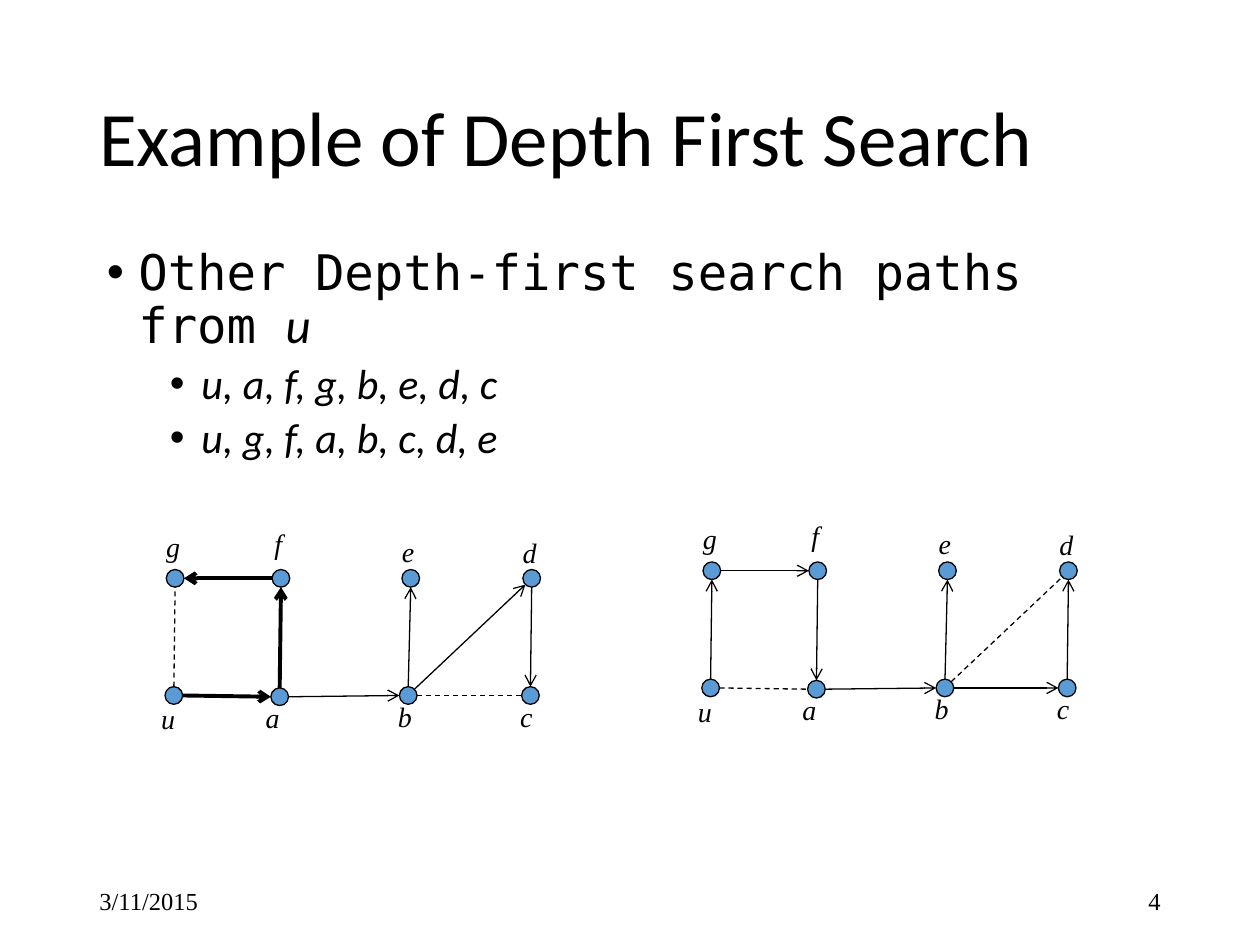
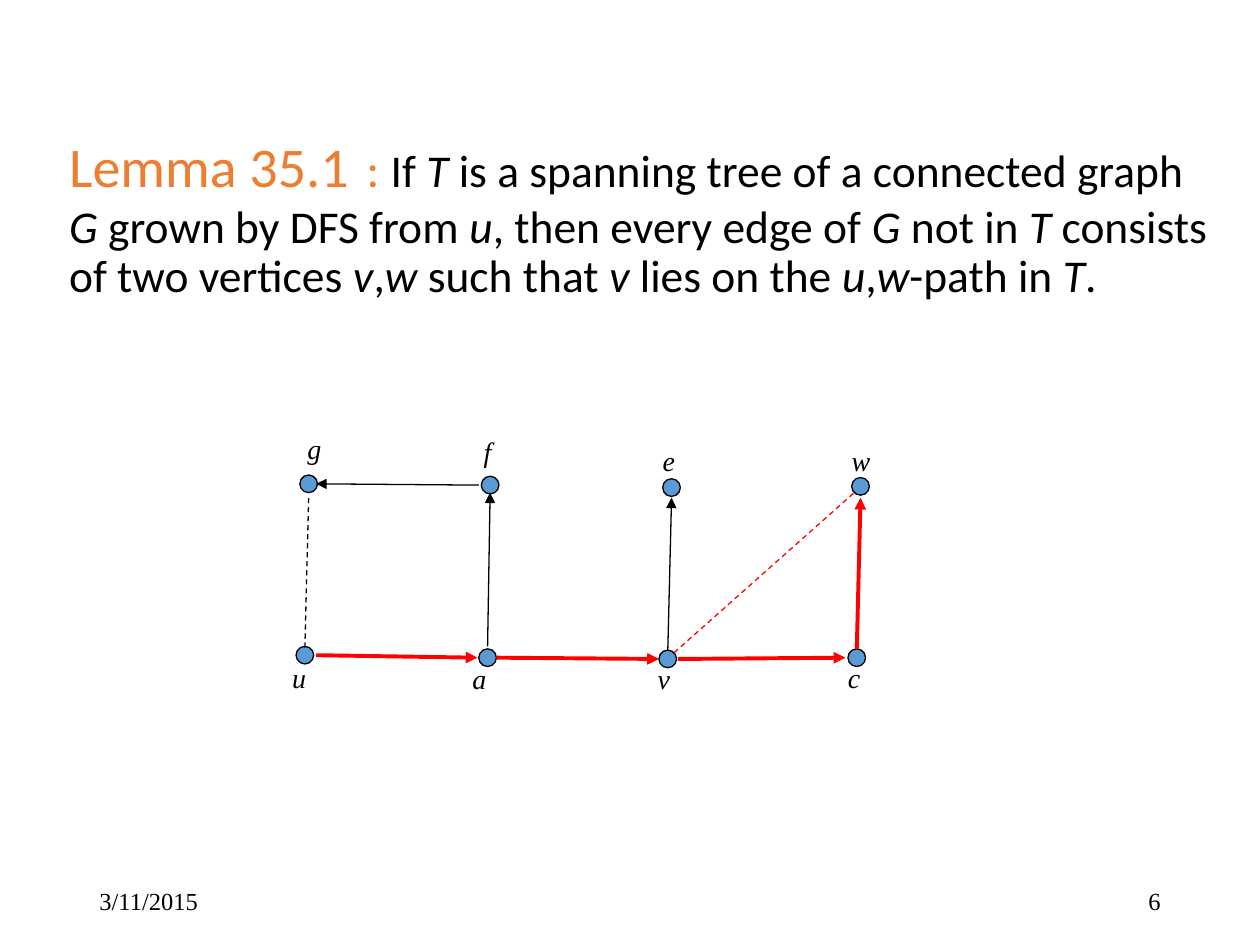
from dataclasses import dataclass
from math import hypot

from lxml.etree import SubElement
from pptx import Presentation
from pptx.dml.color import RGBColor
from pptx.enum.dml import MSO_LINE
from pptx.enum.shapes import MSO_CONNECTOR, MSO_SHAPE
from pptx.enum.text import MSO_ANCHOR, PP_ALIGN
from pptx.oxml.ns import qn
from pptx.util import Pt

PX = 9144  # 100 px to the inch


@dataclass(frozen=True)
class Theme:
    black: str = "000000"
    orange: str = "ED7D31"
    red: str = "FF0000"
    node: str = "5B9BD5"
    sans: str = "Calibri"
    mono: str = "DejaVu Sans Mono"
    serif: str = "Times New Roman"
    title: int = 44
    lemma_head: int = 32
    body: int = 28
    lemma: int = 26
    sub: int = 24
    label: int = 16
    footer: int = 14
    thin: float = 0.75
    bold: float = 2.25
    node_size: int = 14
    leading: float = 0.9


T = Theme()

# Vertex: (node left, node top, label left, label top)
SEARCH_NODES = {
    "u": (131, 545, 118, 552), "a": (215, 546, 201, 551),
    "b": (317, 545, 306, 550), "c": (414, 545, 403, 550),
    "g": (132, 452, 122, 415), "f": (216, 452, 208, 413),
    "e": (319, 452, 309, 419), "d": (415, 452, 405, 420),
}
LEMMA_NODES = {
    "u": (235, 513, 222, 519), "a": (380, 515, 365, 520),
    "v": (523, 516, 512, 520), "c": (673, 515, 663, 519),
    "g": (238, 377, 234, 338), "f": (382, 378, 374, 340),
    "e": (526, 380, 516, 347), "w": (676, 379, 666, 347),
}


# Text
def add_box(s, x, y, w, h, anchor=MSO_ANCHOR.TOP):
    tf = s.shapes.add_textbox(x * PX, y * PX, w * PX, h * PX).text_frame
    tf.word_wrap = True
    tf.vertical_anchor = anchor
    return tf


def add_run(p, text, size, font=T.sans, color=T.black, italic=False):
    r = p.add_run()
    r.text = text
    r.font.size = Pt(size)
    r.font.name = font
    r.font.italic = italic
    r.font.color.rgb = RGBColor.from_string(color)


def add_marked_runs(p, text, size):
    """Text between asterisks becomes italic."""
    for i, part in enumerate(text.split("*")):
        add_run(p, part, size, italic=i % 2 == 1)


def add_bullet(p, left, hang=25):
    pPr = p._p.get_or_add_pPr()
    pPr.set("marL", str(left * PX))
    pPr.set("indent", str(-hang * PX))
    SubElement(pPr, qn("a:buFont")).set("typeface", "Arial")
    SubElement(pPr, qn("a:buChar")).set("char", "•")


def add_title(s, x, y, w, h):
    p = add_box(s, x, y, w, h, MSO_ANCHOR.MIDDLE).paragraphs[0]
    p.line_spacing = T.leading
    return p


def add_footer(s, number):
    for x, text, align in ((69, "3/11/2015", PP_ALIGN.LEFT),
                           (706, number, PP_ALIGN.RIGHT)):
        p = add_box(s, x, 695, 225, 40, MSO_ANCHOR.MIDDLE).paragraphs[0]
        p.alignment = align
        add_run(p, text, T.footer, T.serif)


# Graph
def add_node(s, x, y):
    sp = s.shapes.add_shape(MSO_SHAPE.OVAL, x * PX, y * PX,
                            T.node_size * PX, T.node_size * PX)
    sp.shadow.inherit = False
    sp.fill.solid()
    sp.fill.fore_color.rgb = RGBColor.from_string(T.node)
    sp.line.color.rgb = RGBColor.from_string(T.black)
    sp.line.width = Pt(T.thin)


def add_edge(s, start, end, gaps=(7, 7), width=T.thin, color=T.black, arrow=None):
    """Join two node centres, stopping short by the gaps; no arrow means dashed."""
    (x1, y1), (x2, y2) = start, end
    length = hypot(x2 - x1, y2 - y1)
    dx, dy = (x2 - x1) / length, (y2 - y1) / length
    ends = (x1 + gaps[0] * dx, y1 + gaps[0] * dy,
            x2 - gaps[1] * dx, y2 - gaps[1] * dy)
    cn = s.shapes.add_connector(MSO_CONNECTOR.STRAIGHT, *(round(v) * PX for v in ends))
    cn.line.color.rgb = RGBColor.from_string(color)
    cn.line.width = Pt(width)
    if arrow:
        SubElement(cn.line._get_or_add_ln(), qn("a:tailEnd")).set("type", arrow)
    else:
        cn.line.dash_style = MSO_LINE.DASH
    SubElement(cn._element.spPr, qn("a:effectLst"))


def add_graph(s, nodes, edges, dx=0, dy=0):
    """Each edge is a vertex pair with the options of add_edge."""
    half = T.node_size // 2
    centres = {}
    for name, (x, y, _, _) in nodes.items():
        add_node(s, x + dx, y + dy)
        centres[name] = (x + dx + half, y + dy + half)
    for (start, end), options in edges:
        add_edge(s, centres[start], centres[end], **options)
    for name, (_, _, x, y) in nodes.items():
        p = add_box(s, x + dx, y + dy, 35, 37).paragraphs[0]
        add_run(p, name, T.label, T.serif, italic=True)


# Slides
def build_search_slide(s):
    add_footer(s, "4")
    add_run(add_title(s, 69, 40, 862, 145), "Example of Depth First Search", T.title)

    tf = add_box(s, 75, 192, 850, 205)
    p = tf.paragraphs[0]
    p.line_spacing = T.leading
    add_bullet(p, 25)
    add_run(p, "Other Depth-first search paths from ", T.body, T.mono)
    add_run(p, "u", T.body, italic=True)
    for order in ("u, a, f, g, b, e, d, c", "u, g, f, a, b, c, d, e"):
        p = tf.add_paragraph()
        p.level = 1
        p.line_spacing = T.leading
        p.space_before = Pt(5)
        add_bullet(p, 75)
        add_run(p, order, T.sub, italic=True)

    tree = {"arrow": "arrow"}
    first = {"arrow": "arrow", "width": T.bold}
    unused = {}
    add_graph(s, SEARCH_NODES, [
        ("ug", unused), ("af", first), ("be", tree), ("dc", tree), ("ua", first),
        ("bc", unused), ("ab", tree), ("fg", first), ("bd", tree)])
    add_graph(s, SEARCH_NODES, [
        ("ug", tree), ("fa", tree), ("be", tree), ("cd", tree), ("ua", unused),
        ("bc", tree), ("ab", tree), ("gf", tree), ("bd", unused)], dx=426, dy=-6)


def build_lemma_slide(s):
    add_footer(s, "6")
    p = add_title(s, 45, 58, 927, 220)
    add_run(p, "Lemma 35.1", T.lemma_head, color=T.orange)
    add_run(p, " ", T.title, color=T.orange)
    add_run(p, ": ", T.body, color=T.orange)
    add_marked_runs(p, "If *T* is a spanning tree of a connected graph *G* grown by DFS "
                       "from *u*, then every edge of *G* not in *T* consists of two "
                       "vertices *v*,*w* such that *v* lies on the *u*,*w*-path in *T*.",
                    T.lemma)

    tree = {"arrow": "triangle"}
    route = {"arrow": "triangle", "width": T.bold, "color": T.red}
    add_graph(s, LEMMA_NODES, [
        ("ug", {"gaps": (6, 10)}),
        ("af", {**tree, "gaps": (9, 6)}),
        ("ve", {**tree, "gaps": (7, 8)}),
        ("cw", {**route, "gaps": (7, 9)}),
        ("ua", {**route, "gaps": (9, 8)}),
        ("vc", {**route, "gaps": (8, 9)}),
        ("av", route),
        ("fg", {**tree, "gaps": (9, 6)}),
        ("vw", {"color": T.red})])


def main():
    prs = Presentation()
    prs.slide_width, prs.slide_height = 1000 * PX, 750 * PX
    for build in (build_search_slide, build_lemma_slide):
        build(prs.slides.add_slide(prs.slide_layouts[6]))
    prs.save("out.pptx")


if __name__ == "__main__":
    main()
